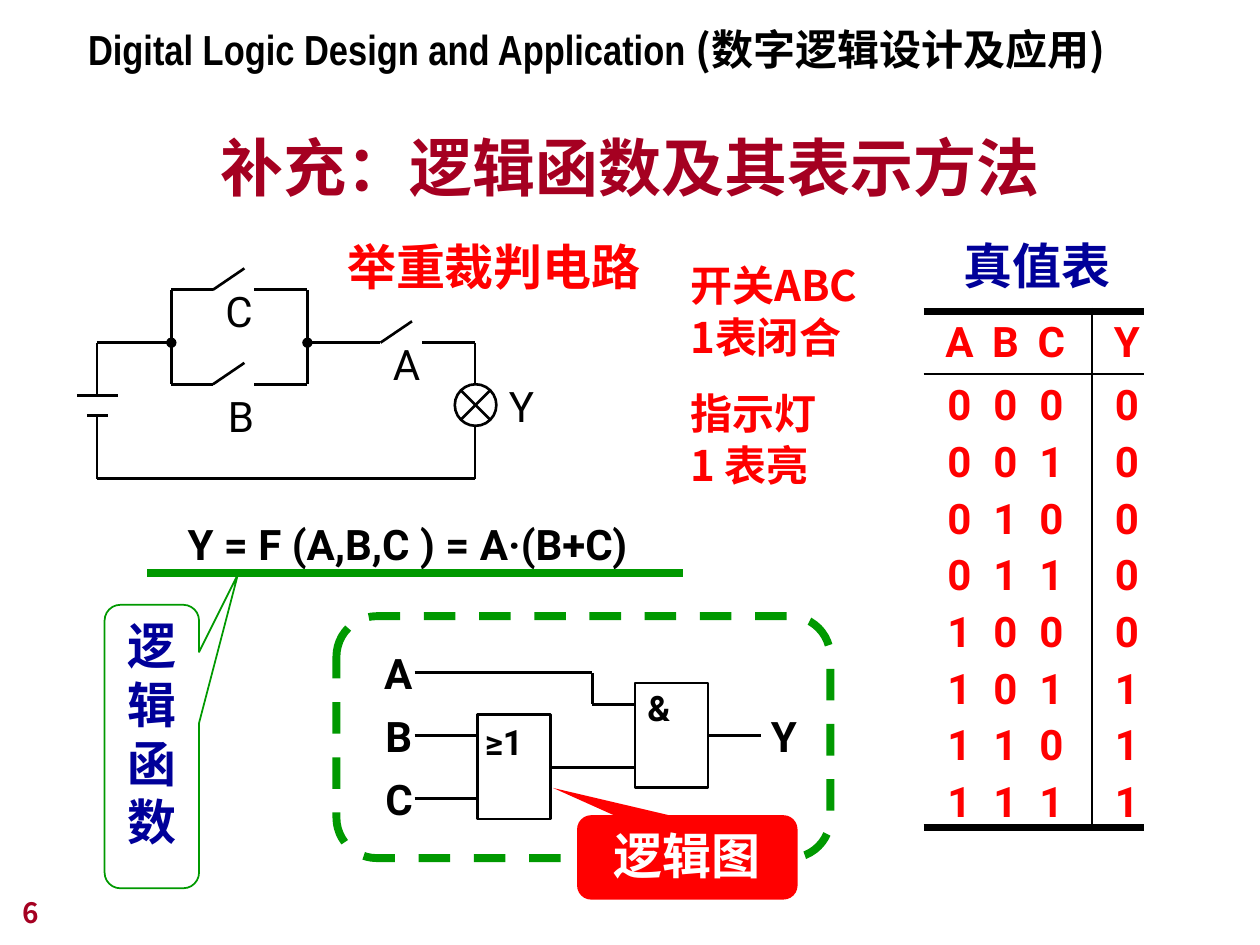
from lxml.etree import SubElement
from pptx import Presentation
from pptx.dml.color import RGBColor
from pptx.enum.dml import MSO_LINE
from pptx.enum.shapes import MSO_CONNECTOR as Link, MSO_SHAPE as Kind
from pptx.enum.text import MSO_ANCHOR as Anchor, PP_ALIGN as Align
from pptx.oxml.ns import qn
from pptx.util import Inches, Pt


class Theme:
    black, white, red = "000000", "FFFFFF", "FF0000"
    green, blue, wine = "009900", "000099", "A50021"
    num, gate, body, head, title = 16, 20, 24, 28, 36
    main, narrow, sc, jp = "Roboto", "Arial Narrow", "Noto Sans CJK SC", "Noto Sans CJK JP"
    thin, fine, thick = 1.5, 1, 4.5
    lead = 1.2


T = Theme

# Content: text boxes as (text, place, style)
COURSE = [("Digital Logic Design and Application ", T.narrow), ("(数字逻辑设计及应用)", T.jp)]
TITLE = "补充：逻辑函数及其表示方法"
HEADS = [
    ("举重裁判电路", (2.42, 1.72, 3, 0.67),
     dict(size=T.head, color=T.red, font=T.sc, align=Align.CENTER, anchor=Anchor.BOTTOM)),
    ("Y = F (A,B,C ) = A·(B+C)", (1.39, 3.93, 3.9, 0.62), dict(lead=1.6)),
    ("真值表", (7.55, 1.82, 1.5, 0.57), dict(size=T.head, color=T.blue)),
    ("6", (0.08, 6.92, 2.08, 0.5),
     dict(size=T.num, color=T.wine, font=T.jp, anchor=Anchor.BOTTOM)),
]
NOTES = [("开关ABC", 1.25), ("1表闭合", 1.25), ("指示灯", 1.8), ("1 表亮", 1.25)]
PARTS = [("A", 3.02, 2.64), ("B", 1.71, 3.05), ("C", 1.69, 2.22), ("Y", 3.94, 2.97)]
PINS = [("A", 2.95, 5.09), ("B", 2.96, 5.59), ("C", 2.96, 6.09), ("Y", 6.02, 5.59)]
GATES = [("≥1", (3.79, 5.67), (3.75, 5.67)), ("&", (5.04, 5.42), (5.04, 5.4))]

# Truth table columns: label, width, left margin, right margin
COLS = [("A", 0.47, 0.1, 0), ("B", 0.36, 0, 0), ("C", 0.51, 0, 0.14), ("Y", 0.41, 0.14, 0)]
CASES = [(a, b, c, a & (b | c)) for a in (0, 1) for b in (0, 1) for c in (0, 1)]

# Wiring as chains of points
SWITCHES = [(1.36, 2.3), (1.36, 3.05), (2.69, 2.72)]
WIRES = [
    [(0.77, 3.14), (0.77, 2.72)],
    [(3.77, 2.72), (3.77, 3.05)],
    [(3.77, 3.39), (3.77, 3.8), (0.77, 3.8), (0.77, 3.3)],
    [(0.61, 3.14), (0.94, 3.14)],
    [(0.69, 3.3), (0.86, 3.3)],
    [(1.36, 2.3), (1.36, 3.05)],
    [(2.44, 2.3), (2.44, 3.05)],
]
NODES = [[(0.77, 2.72), (1.36, 2.72)], [(2.69, 2.72), (2.44, 2.72)]]
NETS = [
    [(3.29, 5.34), (4.7, 5.34), (4.7, 5.59), (5.04, 5.59)],
    [(3.29, 5.84), (3.79, 5.84)],
    [(3.29, 6.34), (3.79, 6.34)],
    [(4.37, 6.09), (5.04, 6.09)],
    [(5.62, 5.84), (6.04, 5.84)],
]

deck = Presentation()
deck.slide_width, deck.slide_height = Inches(10), Inches(7.5)
slide = deck.slides.add_slide(deck.slide_layouts[5])
shapes = slide.shapes


def rgb(code):
    return RGBColor.from_string(code)


def style(para, size=T.body, color=T.black, font=T.main, bold=True,
          align=Align.LEFT, lead=T.lead):
    para.alignment = align
    para.line_spacing = Pt(size * lead)
    for run in para.runs:
        face = run.font
        face.size, face.bold, face.name = Pt(size), bold, font
        face.color.rgb = rgb(color)
        east = font if font in (T.sc, T.jp) else T.sc
        SubElement(run._r.get_or_add_rPr(), qn("a:ea")).set("typeface", east)


def move(shape, place):
    shape.left, shape.top, shape.width, shape.height = map(Inches, place)


def box(place, anchor=Anchor.TOP):
    frame = shapes.add_textbox(*map(Inches, place)).text_frame
    frame.word_wrap, frame.vertical_anchor = True, anchor
    return frame


def label(text, place, anchor=Anchor.TOP, **look):
    frame = box(place, anchor)
    frame.text = text
    style(frame.paragraphs[0], **look)


def chain(points, width=T.thin, color=T.black, dot=False):
    for start, end in zip(points, points[1:]):
        wire = shapes.add_connector(Link.STRAIGHT, *map(Inches, start + end))
        wire.line.width, wire.line.color.rgb = Pt(width), rgb(color)
        if dot:
            SubElement(wire.line._get_or_add_ln(), qn("a:tailEnd")).set("type", "oval")
        SubElement(wire._element.spPr, qn("a:effectLst"))


def outline(kind, place, width=T.thin, color=T.black, fill=None, adj=()):
    shape = shapes.add_shape(kind, *map(Inches, place))
    shape.shadow.inherit = False
    for i, value in enumerate(adj):
        shape.adjustments[i] = value
    if fill:
        shape.fill.solid()
        shape.fill.fore_color.rgb = rgb(fill)
        shape.line.fill.background()
    else:
        shape.fill.background()
        shape.line.width, shape.line.color.rgb = Pt(width), rgb(color)
    return shape


def callout(text, place, tip, ink, **look):
    shape = outline(Kind.ROUNDED_RECTANGULAR_CALLOUT, place, adj=(*tip, 0.167), **look)
    frame = shape.text_frame
    frame.word_wrap, frame.vertical_anchor = True, Anchor.TOP
    frame.text = text
    style(frame.paragraphs[0], size=T.head, color=ink, align=Align.CENTER)


def border(cell, **sides):
    props = cell._tc.get_or_add_tcPr()
    for i, side in enumerate(("lnL", "lnR", "lnT", "lnB")):
        width = sides.get(side, 0)
        edge = props.makeelement(qn("a:" + side), {"w": str(Pt(width))})
        if width:
            SubElement(SubElement(edge, qn("a:solidFill")), qn("a:srgbClr")).set("val", T.black)
        else:
            SubElement(edge, qn("a:noFill"))
        props.insert(i, edge)


# Title, course line and headings
title = shapes.title
move(title, (0.75, 0.84, 8.5, 0.83))
title.text_frame.text = TITLE
title.text_frame.vertical_anchor = Anchor.BOTTOM
style(title.text_frame.paragraphs[0], T.title, T.wine, T.jp, align=Align.CENTER)

line = box((0.6, 0.14, 8.41, 0.9)).paragraphs[0]
for text, font in COURSE:
    line.add_run().text = text
style(line)
for run, (text, font) in zip(line.runs, COURSE):
    run.font.name = font
for text, place, look in HEADS:
    label(text, place, **look)

# Switch and lamp notes
notes = box((5.38, 1.99, 1.8, 1.9))
notes.text = "\n".join(text for text, lead in NOTES)
for para, (text, lead) in zip(notes.paragraphs, NOTES):
    style(para, color=T.red, font=T.sc, lead=lead)

# Circuit
for points in WIRES:
    chain(points)
for points in NODES:
    chain(points, dot=True)
for x, y in SWITCHES:
    chain([(x, y), (x + 0.33, y), (x + 0.58, y - 0.17)])
    chain([(x + 0.66, y), (x + 1.08, y)])
outline(Kind.FLOWCHART_SUMMING_JUNCTION, (3.61, 3.05, 0.33, 0.33))
for text, x, y in PARTS:
    label(text, (x, y, 0.42, 0.5), bold=False)

# Logic function
callout("逻辑函数", (0.83, 4.8, 0.75, 2.25), (0.912, -0.608), T.blue,
        width=T.fine, color=T.green)
chain([(1.17, 4.55), (5.42, 4.55)], T.thick, T.green)

# Logic diagram
frame = outline(Kind.ROUNDED_RECTANGLE, (2.67, 4.89, 3.92, 1.92), T.thick, T.green, adj=(0.167,))
frame.line.dash_style = MSO_LINE.DASH
callout("逻辑图", (4.58, 6.47, 1.75, 0.67), (-0.609, -0.823), T.white, fill=T.red)
for points in NETS:
    chain(points)
for text, gate, spot in GATES:
    outline(Kind.RECTANGLE, (*gate, 0.58, 0.83))
    label(text, (*spot, 0.7, 0.44), size=T.gate)
for text, x, y in PINS:
    label(text, (x, y, 0.43, 0.5))

# Truth table
rows = [[col[0] for col in COLS]] + CASES
wide = sum(col[1] for col in COLS)
table = shapes.add_table(len(rows), len(COLS), Inches(7.33), Inches(2.47),
                         Inches(wide), Inches(4.08)).table
table.first_row = table.horz_banding = False
for r, row in enumerate(rows):
    table.rows[r].height = Inches(0.45 if r else 0.5)
    for c, (value, (name, width, left, right)) in enumerate(zip(row, COLS)):
        table.columns[c].width = Inches(width)
        cell = table.cell(r, c)
        cell.margin_left, cell.margin_right = Inches(left), Inches(right)
        cell.margin_top = cell.margin_bottom = 0
        cell.vertical_anchor = Anchor.BOTTOM if r else Anchor.MIDDLE
        cell.fill.background()
        cell.text = str(value)
        style(cell.text_frame.paragraphs[0], color=T.red, align=Align.CENTER)
        border(cell, lnL=T.thin if c == 3 else 0, lnR=T.thin if c == 2 else 0,
               lnT={0: T.thick, 1: T.thin}.get(r, 0),
               lnB={0: T.thin, len(CASES): T.thick}.get(r, 0))

deck.save("out.pptx")
